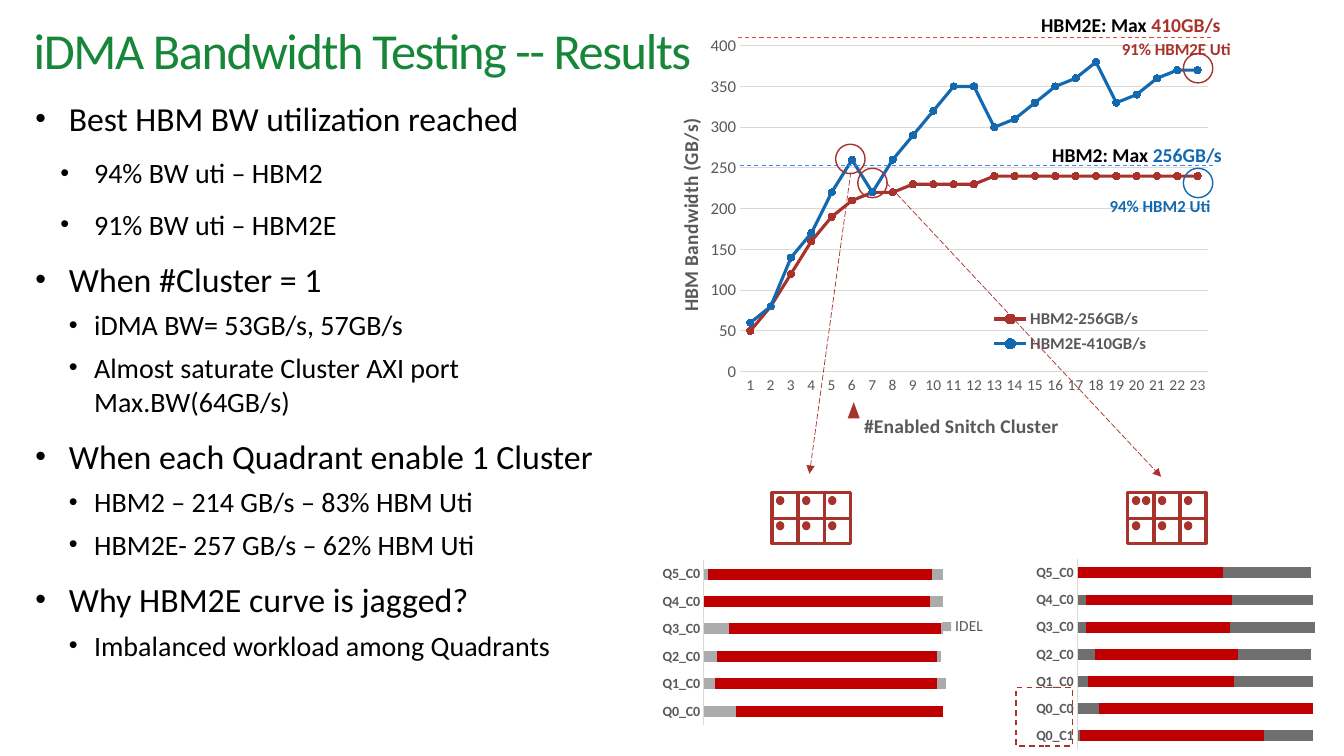
from lxml.etree import SubElement
from pptx import Presentation
from pptx.chart.data import CategoryChartData
from pptx.dml.color import RGBColor
from pptx.enum.chart import XL_CHART_TYPE, XL_LEGEND_POSITION, XL_MARKER_STYLE, XL_TICK_MARK
from pptx.enum.dml import MSO_LINE
from pptx.enum.shapes import MSO_CONNECTOR, MSO_SHAPE
from pptx.enum.text import MSO_ANCHOR
from pptx.oxml.ns import qn
from pptx.util import Pt

BLACK = RGBColor(0, 0, 0)
GREEN = RGBColor(0x16, 0x86, 0x38)
RED = RGBColor(0xA8, 0x32, 0x2C)
BLUE = RGBColor(0x12, 0x69, 0xB0)
LIMIT_BLUE = RGBColor(0x42, 0x85, 0xF4)
LIMIT_RED = RGBColor(0xEA, 0x43, 0x35)
BUSY_RED = RGBColor(0xC0, 0, 0)
IDLE_GRAY = RGBColor(0xAB, 0xAB, 0xAB)
DARK_GRAY = RGBColor(0x6F, 0x6F, 0x6F)
AXIS_GRAY = RGBColor(0x59, 0x59, 0x59)
GRID_GRAY = RGBColor(0xD9, 0xD9, 0xD9)

# level: size, left margin, hanging indent, space before
LEVELS = {"first": (24, 24, 24, 0), "head": (24.2, 24, 24, 12.7),
          "wide": (20, 42, 24, 12.7), "sub": (20, 42, 18, 6.3)}
FINDINGS = [
    ("first", "Best HBM BW utilization reached"),
    ("wide", "94% BW uti – HBM2"),
    ("wide", "91% BW uti – HBM2E"),
    ("head", "When #Cluster = 1"),
    ("sub", "iDMA BW= 53GB/s, 57GB/s"),
    ("sub", "Almost saturate Cluster AXI port Max.BW(64GB/s)"),
    ("head", "When each Quadrant enable 1 Cluster"),
    ("sub", "HBM2 – 214 GB/s – 83% HBM Uti"),
    ("sub", "HBM2E- 257 GB/s – 62% HBM Uti"),
    ("head", "Why HBM2E curve is jagged?"),
    ("sub", "Imbalanced workload among Quadrants"),
]
BANDWIDTH = [
    ("HBM2-256GB/s", [50, 80, 120, 160, 190, 210, 220, 220] + [230] * 4 + [240] * 11, RED),
    ("HBM2E-410GB/s", [60, 80, 140, 170, 220, 260, 220, 260, 290, 320, 350, 350,
                       300, 310, 330, 350, 360, 380, 330, 340, 360, 370, 370], BLUE),
]
BALANCED = [("IDEL", [14, 5, 6, 11, 0, 2], IDLE_GRAY),
            ("iDMA", [92, 98, 97, 94, 100, 99], BUSY_RED),
            ("IDEL", [0, 4, 2, 1, 6, 5], IDLE_GRAY)]
IMBALANCED = [("Series 1", [1, 10, 5, 8, 4, 4, 0], DARK_GRAY),
              ("Series 2", [86, 100, 68, 67, 67, 68, 68], BUSY_RED),
              ("Series 3", [23, 0, 37, 34, 40, 38, 41], DARK_GRAY)]
QUADRANTS = [f"Q{number}_C0" for number in range(6)]


def set_layout(element, index, x, y, w=None, h=None, inner=False):
    """Place a chart part by fractions of the chart's size."""
    for old in element.findall(qn("c:layout")):
        element.remove(old)
    layout = SubElement(element, qn("c:layout"))
    element.insert(index, layout)
    manual = SubElement(layout, qn("c:manualLayout"))
    values = {"layoutTarget": "inner" if inner else None, "xMode": "edge",
              "yMode": "edge", "x": x, "y": y, "w": w, "h": h}
    for name, value in values.items():
        if value is not None:
            SubElement(manual, qn("c:" + name)).set("val", str(value))


class SlideBuilder:
    font_name = "Calibri"

    def __init__(self, page):
        self.page = page

    def style(self, font, size, color, bold=False):
        font.name, font.size, font.bold = self.font_name, Pt(size), bold
        font.color.rgb = color

    def text_box(self, left, top, width, height, inset_x=7.2, inset_y=3.6):
        box = self.page.shapes.add_textbox(Pt(left), Pt(top), Pt(width), Pt(height))
        frame = box.text_frame
        frame.word_wrap = True
        frame.margin_left = frame.margin_right = Pt(inset_x)
        frame.margin_top = frame.margin_bottom = Pt(inset_y)
        return frame

    def title(self, text):
        frame = self.text_box(24, 13.7, 916.6, 49, 0, 0)
        frame.vertical_anchor = MSO_ANCHOR.MIDDLE
        para = frame.paragraphs[0]
        para.text = text
        para.line_spacing = 0.9
        self.style(para.font, 36, GREEN)
        para._p.pPr.find(qn("a:defRPr")).set("spc", "-100")

    def bullets(self, items):
        frame = self.text_box(25.2, 66.2, 435.6, 446.4, 0)
        for index, (level, text) in enumerate(items):
            para = frame.add_paragraph() if index else frame.paragraphs[0]
            para.text = text
            size, margin, hanging, before = LEVELS[level]
            para.space_before = Pt(before)
            para.level = int(level in ("wide", "sub"))
            props = para._p.get_or_add_pPr()
            props.set("marL", str(Pt(margin)))
            props.set("indent", str(-Pt(hanging)))
            SubElement(props, qn("a:buSzPct")).set("val", "90000")
            SubElement(props, qn("a:buFont")).set("typeface", "Arial")
            SubElement(props, qn("a:buChar")).set("char", "•")
            self.style(para.font, size, BLACK)

    def label(self, left, top, width, size, spans):
        para = self.text_box(left, top, width, size * 1.2 + 7.2).paragraphs[0]
        for text, color in spans:
            span = para.add_run()
            span.text = text
            self.style(span.font, size, color, True)

    def shape(self, kind, left, top, width, height, fill=None, line=None, weight=1):
        shape = self.page.shapes.add_shape(kind, Pt(left), Pt(top), Pt(width), Pt(height))
        shape.shadow.inherit = False
        if fill is None:
            shape.fill.background()
        else:
            shape.fill.solid()
            shape.fill.fore_color.rgb = fill
        if line is None:
            shape.line.fill.background()
        else:
            shape.line.color.rgb = line
            shape.line.width = Pt(weight)
        return shape

    def ring(self, left, top, color=RED):
        self.shape(MSO_SHAPE.OVAL, left, top, 21, 21, line=color)

    def line(self, start, end, color, weight, dash, arrow=False):
        line = self.page.shapes.add_connector(
            MSO_CONNECTOR.STRAIGHT, *(Pt(value) for value in start + end))
        line.line.color.rgb = color
        line.line.width = Pt(weight)
        line.line.dash_style = dash
        if arrow:
            SubElement(line.line._get_or_add_ln(), qn("a:tailEnd")).set("type", "triangle")
        SubElement(line._element.spPr, qn("a:effectLst"))

    def quadrant_grid(self, left, extra_dot=False):
        """Six quadrants, each with a dot for its enabled cluster."""
        top, cell_width, cell_height = 352.1, 18.6, 18
        cells = [(left + column * cell_width, top + row * cell_height)
                 for row in range(2) for column in range(3)]
        dots = [(x + 2.8, y + 2.2) for x, y in cells]
        if extra_dot:
            dots.append((left + 10, top + 2.2))
        for x, y in cells:
            self.shape(MSO_SHAPE.RECTANGLE, x, y, cell_width, cell_height, line=RED, weight=2.25)
        for x, y in dots:
            self.shape(MSO_SHAPE.OVAL, x, y, 6, 6.5, fill=RED)

    def chart(self, kind, box, plot, categories, series, label_size, bold):
        data = CategoryChartData()
        data.categories = categories
        for name, values, _ in series:
            data.add_series(name, values)
        chart = self.page.shapes.add_chart(kind, *(Pt(value) for value in box), data).chart
        self.style(chart.font, 10, BLACK)
        chart.has_title = chart.has_legend = False
        chart.plots[0].vary_by_categories = False
        set_layout(chart._chartSpace.chart.plotArea, 0, *plot, inner=True)
        axis = chart.category_axis
        axis.major_tick_mark = XL_TICK_MARK.NONE
        axis.format.line.color.rgb = GRID_GRAY
        axis.format.line.width = Pt(0.75)
        self.style(axis.tick_labels.font, label_size, AXIS_GRAY, bold)
        return chart

    def legend(self, chart, size, bold, place):
        chart.has_legend = True
        chart.legend.position = XL_LEGEND_POSITION.BOTTOM
        chart.legend.include_in_layout = False
        self.style(chart.legend.font, size, AXIS_GRAY, bold)
        set_layout(chart.legend._element, 1, *place)

    def axis_title(self, axis, text, x, y):
        axis.axis_title.text_frame.text = text
        self.style(axis.axis_title.text_frame.paragraphs[0].font, 14, AXIS_GRAY, True)
        set_layout(axis.axis_title._element, 1, x, y)

    def bandwidth_chart(self):
        chart = self.chart(XL_CHART_TYPE.LINE_MARKERS, (468.7, 13.7, 405.4, 303.8),
                           (0.148, 0.044, 0.824, 0.797),
                           [str(count) for count in range(1, 24)], BANDWIDTH, 11, False)
        axis = chart.value_axis
        axis.minimum_scale, axis.maximum_scale, axis.major_unit = 0, 410, 50
        axis.major_tick_mark = XL_TICK_MARK.NONE
        axis.format.line.fill.background()
        axis.major_gridlines.format.line.color.rgb = GRID_GRAY
        axis.major_gridlines.format.line.width = Pt(0.75)
        self.style(axis.tick_labels.font, 12, AXIS_GRAY)
        self.axis_title(axis, "HBM Bandwidth (GB/s)", 0.03, 0.235)
        self.axis_title(chart.category_axis, "#Enabled Snitch Cluster", 0.36, 0.93)
        self.legend(chart, 12, True, (0.58, 0.68, 0.3, 0.13))
        for series, (_, _, color) in zip(chart.plots[0].series, BANDWIDTH):
            series.smooth = False
            series.format.line.color.rgb = color
            series.format.line.width = Pt(2.25)
            series.marker.style = XL_MARKER_STYLE.CIRCLE
            series.marker.size = 5
            series.marker.format.fill.solid()
            series.marker.format.fill.fore_color.rgb = color
            series.marker.format.line.color.rgb = color

    def workload_chart(self, box, plot, categories, rows):
        chart = self.chart(XL_CHART_TYPE.BAR_STACKED, box, plot, categories, rows, 10, True)
        chart.value_axis.visible = False
        chart.value_axis.has_major_gridlines = False
        chart.value_axis.minimum_scale, chart.value_axis.maximum_scale = 0, 120
        chart.plots[0].gap_width, chart.plots[0].overlap = 150, 100
        for series, (_, _, color) in zip(chart.plots[0].series, rows):
            series.format.fill.solid()
            series.format.fill.fore_color.rgb = color
        return chart


def main():
    deck = Presentation()
    deck.slide_width, deck.slide_height = Pt(960), Pt(540)
    builder = SlideBuilder(deck.slides.add_slide(deck.slide_layouts[6]))
    builder.title("iDMA Bandwidth Testing -- Results")
    builder.bullets(FINDINGS)

    builder.bandwidth_chart()
    builder.line((528.5, 118.1), (866.9, 118.1), LIMIT_BLUE, 0.75, MSO_LINE.DASH)
    builder.line((527, 26.6), (865.4, 26.6), LIMIT_RED, 0.75, MSO_LINE.DASH)
    builder.label(744.5, 98.6, 172, 14, [("HBM2: Max ", BLACK), ("256GB/s", BLUE)])
    builder.label(736.6, 5.8, 172, 14, [("HBM2E: Max ", BLACK), ("410GB/s", RED)])
    builder.ring(845.3, 38.2)
    builder.label(794.2, 24.5, 95.8, 12, [("91% HBM2E Uti", RED)])
    builder.ring(845.3, 120.2, BLUE)
    builder.label(785.5, 136.1, 95.8, 12, [("94% HBM2 Uti", BLUE)])

    balanced = builder.workload_chart((460.8, 391, 256.3, 149), (0.164, 0.062, 0.756, 0.79),
                                      QUADRANTS, BALANCED)
    builder.legend(balanced, 11, False, (0.81, 0.33, 0.15, 0.1))
    for position, hidden in enumerate((1, 2), start=1):
        entry = balanced.legend._element.makeelement(qn("c:legendEntry"))
        balanced.legend._element.insert(position, entry)
        SubElement(entry, qn("c:idx")).set("val", str(hidden))
        SubElement(entry, qn("c:delete")).set("val", "1")
    builder.workload_chart((717.1, 391, 243.4, 149), (0.216, 0.057, 0.755, 0.912),
                           ["Q0_C1"] + QUADRANTS, IMBALANCED)
    overload = builder.shape(MSO_SHAPE.RECTANGLE, 725.8, 491, 40.3, 41.8, line=RED)
    overload.line.dash_style = MSO_LINE.DASH

    builder.quadrant_grid(551.5)
    builder.ring(596.9, 103)
    builder.line((607.7, 123.1), (578.2, 338.4), RED, 0.5, MSO_LINE.LONG_DASH, arrow=True)
    builder.quadrant_grid(805.7, extra_dot=True)
    builder.ring(612.7, 120.2)
    builder.line((632.9, 130.3), (829.4, 340.6), RED, 0.5, MSO_LINE.LONG_DASH, arrow=True)
    builder.shape(MSO_SHAPE.ISOSCELES_TRIANGLE, 605.5, 287.3, 8.6, 11.5, fill=RED)
    deck.save("out.pptx")


if __name__ == "__main__":
    main()
